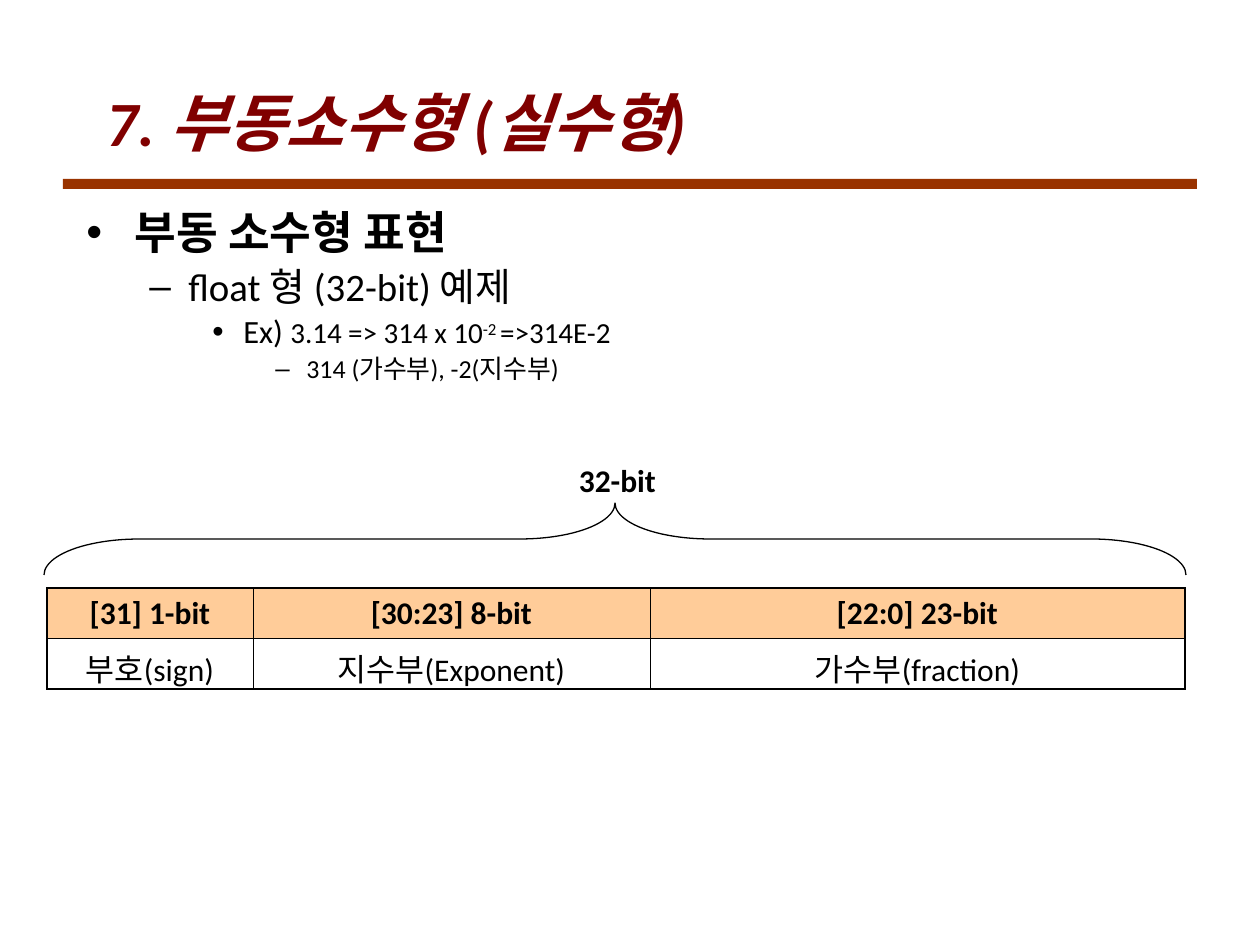
import pptx
import pptx.util
import pptx.dml.color
import pptx.enum.shapes
import pptx.enum.text
import pptx.oxml
from pptx.oxml.ns import nsdecls

PX = 914400 // 126
THEME = {
    "font": "Calibri", "ink": "000000", "title": "800000",
    "rule": "993300", "head": "FFCC99",
    "big": 36, "body": 18, "levels": (25.9, 22.2, 18.5, 14.8), "mid": 16.6,
}
ALIGN = pptx.enum.text.PP_ALIGN
ANCHOR = pptx.enum.text.MSO_ANCHOR
SHAPE = pptx.enum.shapes.MSO_SHAPE


def rgb(key):
    return pptx.dml.color.RGBColor.from_string(THEME[key])


def write(para, text, size, bold=False, color="ink"):
    run = para.add_run()
    run.text = text
    font = run.font
    font.name, font.size, font.bold = THEME["font"], pptx.util.Pt(size), bold
    font.color.rgb = rgb(color)
    return font


deck = pptx.Presentation()
deck.slide_width, deck.slide_height = 1260 * PX, 945 * PX
slide = deck.slides.add_slide(deck.slide_layouts[6])
shapes = slide.shapes

# Title and rule
rule = shapes.add_shape(SHAPE.RECTANGLE, 63 * PX, 179 * PX, 1134 * PX, 10 * PX)
rule.shadow.inherit = False
rule.fill.solid()
rule.fill.fore_color.rgb = rgb("rule")
rule.line.fill.background()

frame = shapes.add_textbox(94 * PX, 63 * PX, 1071 * PX, 116 * PX).text_frame
frame.word_wrap = True
frame.vertical_anchor = ANCHOR.MIDDLE
font = write(frame.paragraphs[0], "7. 부동소수형 (실수형)", THEME["big"], True, "title")
font.italic = True

# Bullets: text indent, hang, mark, space before, runs of (text, size, raise)
one, two, three, four = THEME["levels"]
mid = THEME["mid"]
points = [
    (48, 48, "•", 0, [("부동 소수형 표현", one, 0)]),
    (102, 39, "–", 4.8, [("float 형 (32-bit) 예제", two, 0)]),
    (157, 31, "•", 3.6, [("Ex) ", three, 0), ("3.14 => 314 x 10", mid, 0),
                         ("-2 ", mid, 30000), ("=>314E-2", mid, 0)]),
    (220, 31, "–", 3.2, [("314 (가수부), -2(지수부)", four, 0)]),
]
frame = shapes.add_textbox(74 * PX, 204 * PX, 1121 * PX, 208 * PX).text_frame
frame.word_wrap = True
for level, (left, hang, mark, gap, runs) in enumerate(points):
    para = frame.add_paragraph() if level else frame.paragraphs[0]
    para.level = level
    para.line_spacing = 0.9
    para.space_before = pptx.util.Pt(gap)
    props = para._p.get_or_add_pPr()
    props.set("marL", str(left * PX))
    props.set("indent", str(-hang * PX))
    props.append(pptx.oxml.parse_xml(f'<a:buFont {nsdecls("a")} typeface="Arial"/>'))
    props.append(pptx.oxml.parse_xml(f'<a:buChar {nsdecls("a")} char="{mark}"/>'))
    for text, size, lift in runs:
        font = write(para, text, size, level == 0)
        if lift:
            font._element.set("baseline", str(lift))

# Brace over the bit fields
span, depth = 1142, 72
brace = shapes.add_shape(SHAPE.LEFT_BRACE, (615 - depth // 2) * PX,
                         (539 - span // 2) * PX, depth * PX, span * PX)
brace.rotation = 90
brace.adjustments[0] = 1.32
brace.shadow.inherit = False
brace.fill.background()
brace.line.color.rgb = rgb("ink")
brace.line.width = pptx.util.Pt(0.75)

frame = shapes.add_textbox(566 * PX, 455 * PX, 110 * PX, 50 * PX).text_frame
frame.word_wrap = False
frame.vertical_anchor = ANCHOR.MIDDLE
frame.paragraphs[0].alignment = ALIGN.CENTER
write(frame.paragraphs[0], "32-bit ", THEME["body"], True)

# Bit fields
rows = [
    ["[31] 1-bit", "[30:23] 8-bit", "[22:0] 23-bit"],
    ["부호(sign)", "지수부(Exponent)", "가수부(fraction)"],
]
widths = [206, 397, 535]
table = shapes.add_table(2, 3, 47 * PX, 588 * PX, sum(widths) * PX, 100 * PX).table
for col, width in zip(table.columns, widths):
    col.width = width * PX
for r, row in enumerate(rows):
    table.rows[r].height = 50 * PX
    for c, text in enumerate(row):
        cell = table.cell(r, c)
        para = cell.text_frame.paragraphs[0]
        para.alignment = ALIGN.CENTER
        write(para, text, THEME["body"], r == 0)
        props = cell._tc.get_or_add_tcPr()
        outer = {"lnL": c == 0, "lnR": c == 2, "lnT": r == 0, "lnB": r == 1}
        for side, edge in outer.items():
            width = pptx.util.Pt(1.08 if edge else 0.45)
            props.append(pptx.oxml.parse_xml(
                f'<a:{side} {nsdecls("a")} w="{width}"><a:solidFill>'
                f'<a:srgbClr val="{THEME["ink"]}"/></a:solidFill></a:{side}>'))
        if r == 0:
            cell.fill.solid()
            cell.fill.fore_color.rgb = rgb("head")
        else:
            cell.fill.background()

deck.save("out.pptx")
